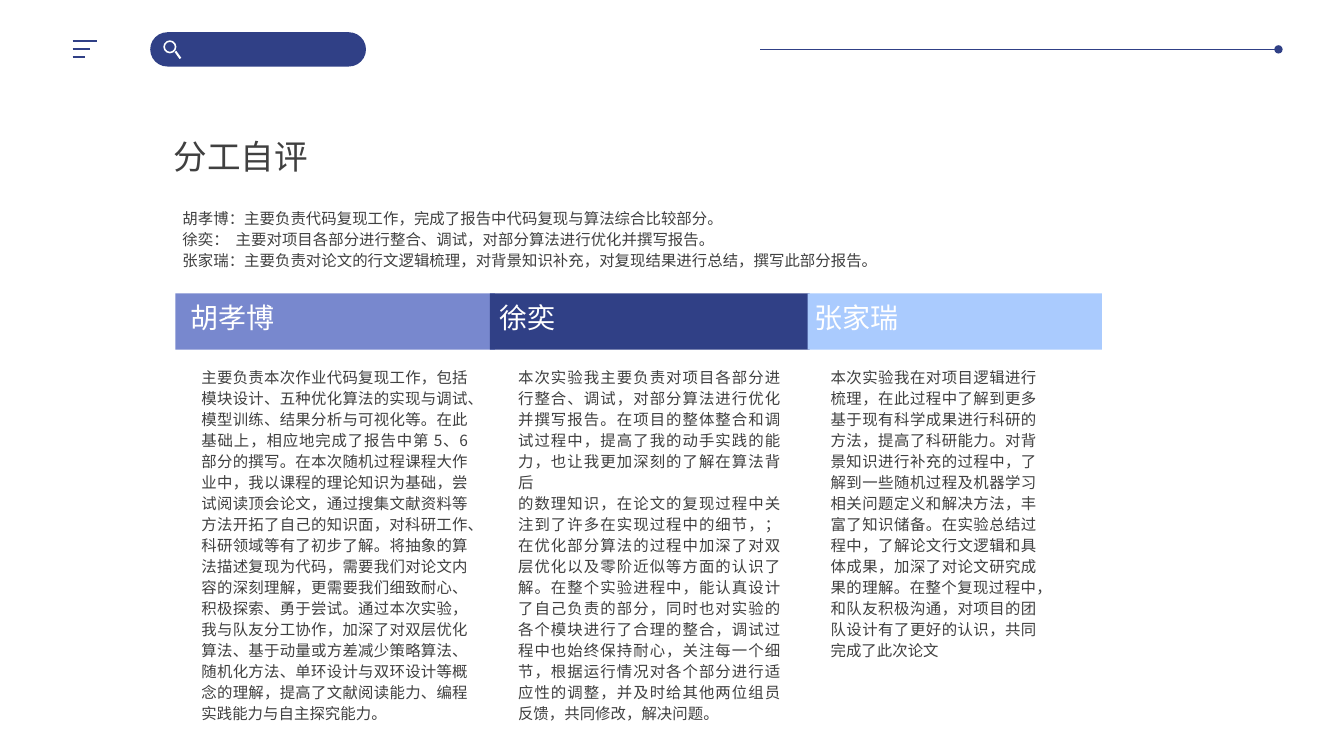
"""Build the slide on division of work and self-assessment."""
import lxml.etree
import pptx
import pptx.dml.color
import pptx.enum.dml
import pptx.enum.shapes
import pptx.enum.text
import pptx.oxml.ns
import pptx.util

Inches, Pt, qn = pptx.util.Inches, pptx.util.Pt, pptx.oxml.ns.qn
ALIGN = pptx.enum.text.PP_ALIGN
SHAPE = pptx.enum.shapes.MSO_SHAPE
FONT, NAVY, GREY, WHITE = "Noto Sans CJK SC", "304086", "404040", "FFFFFF"


def paint(color_format, hex_color):
    color_format.rgb = pptx.dml.color.RGBColor.from_string(hex_color)


def write(holder, box, lines, size, color, justified=False):
    holder.left, holder.top, holder.width, holder.height = map(Inches, box)
    frame = holder.text_frame
    frame.text = "\n".join(lines)
    frame.word_wrap = True
    frame.auto_size = pptx.enum.text.MSO_AUTO_SIZE.NONE
    frame.vertical_anchor = pptx.enum.text.MSO_ANCHOR.TOP
    for paragraph in frame.paragraphs:
        properties = paragraph._p.get_or_add_pPr()
        properties.set("marL", "0")
        properties.set("indent", "0")
        lxml.etree.SubElement(properties, qn("a:buNone"))
        paragraph.alignment = ALIGN.JUSTIFY if justified else ALIGN.LEFT
        paragraph.space_before = Pt(0)
        if justified:
            paragraph.line_spacing = Pt(15)
        paragraph.font.size = Pt(size)
        paragraph.font.name = FONT
        paint(paragraph.font.fill.solid() or paragraph.font.color, color)
        east_asian = lxml.etree.SubElement(properties.find(qn("a:defRPr")), qn("a:ea"))
        east_asian.set("typeface", FONT)


deck = pptx.Presentation()
deck.slide_width, deck.slide_height = Inches(13.33), Inches(7.5)
slide = deck.slides.add_slide(deck.slide_layouts[1])
shapes = slide.shapes
title, summary = slide.placeholders

write(title, (1.62, 1.3, 3.17, 0.5), ["分工自评"], 24, GREY)
write(summary, (1.71, 2, 9.22, 0.73), [
    "胡孝博：主要负责代码复现工作，完成了报告中代码复现与算法综合比较部分。",
    "徐奕：  主要对项目各部分进行整合、调试，对部分算法进行优化并撰写报告。",
    "张家瑞：主要负责对论文的行文逻辑梳理，对背景知识补充，对复现结果进行总结，撰写此部分报告。",
], 11, GREY, justified=True)

blocks = [
    (SHAPE.ROUNDED_RECTANGLE, (1.49, 0.32, 2.14, 0.34), NAVY, 0.5),
    (SHAPE.DONUT, (1.62, 0.4, 0.13, 0.13), WHITE, 0.125),
    (SHAPE.RECTANGLE, (1.74, 2.91, 3.17, 0.56), "7888CE", None),
    (SHAPE.RECTANGLE, (4.86, 2.91, 3.17, 0.56), NAVY, None),
    (SHAPE.RECTANGLE, (8.01, 2.91, 2.92, 0.56), "AACBFE", None),
]
for kind, box, color, adjustment in blocks:
    block = shapes.add_shape(kind, *map(Inches, box))
    block.shadow.inherit = False
    block.fill.solid()
    paint(block.fill.fore_color, color)
    block.line.fill.background()
    if adjustment:
        block.adjustments[0] = adjustment

strokes = [
    (1.74, 0.51, 1.79, 0.58, WHITE, 1.5),
    (0.72, 0.41, 0.96, 0.41, NAVY, 1.5),
    (0.72, 0.49, 0.89, 0.49, NAVY, 1.5),
    (0.72, 0.57, 0.84, 0.57, NAVY, 1.5),
    (7.54, 0.49, 12.68, 0.49, NAVY, 0.5),
]
for *ends, color, weight in strokes:
    stroke = shapes.add_connector(pptx.enum.shapes.MSO_CONNECTOR.STRAIGHT, *map(Inches, ends))
    paint(stroke.line.color, color)
    stroke.line.width = Pt(weight)
    lxml.etree.SubElement(stroke._element.spPr, qn("a:effectLst"))
header_rule = stroke
lxml.etree.SubElement(header_rule.line._get_or_add_ln(), qn("a:tailEnd")).set("type", "oval")

members = [
    ("胡孝博", (1.79, 1.43), (1.9, 2.84, 3.68), [
        "主要负责本次作业代码复现工作，包括模块设计、五种优化算法的实现与调试、模型训练、结果分析与可视化等。"
        "在此基础上，相应地完成了报告中第 5、6 部分的撰写。在本次随机过程课程大作业中，我以课程的理论知识为基础，"
        "尝试阅读顶会论文，通过搜集文献资料等方法开拓了自己的知识面，对科研工作、科研领域等有了初步了解。"
        "将抽象的算法描述复现为代码，需要我们对论文内容的深刻理解，更需要我们细致耐心、积极探索、勇于尝试。"
        "通过本次实验，我与队友分工协作，加深了对双层优化算法、基于动量或方差减少策略算法、随机化方法、"
        "单环设计与双环设计等概念的理解，提高了文献阅读能力、编程实践能力与自主探究能力。",
    ]),
    ("徐奕", (4.86, 0.91), (5.04, 2.8, 3.47), [
        "本次实验我主要负责对项目各部分进行整合、调试，对部分算法进行优化并撰写报告。"
        "在项目的整体整合和调试过程中，提高了我的动手实践的能力，也让我更加深刻的了解在算法背后",
        "的数理知识，在论文的复现过程中关注到了许多在实现过程中的细节，；"
        "在优化部分算法的过程中加深了对双层优化以及零阶近似等方面的认识了解。"
        "在整个实验进程中，能认真设计了自己负责的部分，同时也对实验的各个模块进行了合理的整合，"
        "调试过程中也始终保持耐心，关注每一个细节，根据运行情况对各个部分进行适应性的调整，"
        "并及时给其他两位组员反馈，共同修改，解决问题。",
    ]),
    ("张家瑞", (7.98, 1.6), (8.14, 2.24, 3.05), [
        "本次实验我在对项目逻辑进行梳理，在此过程中了解到更多基于现有科学成果进行科研的方法，提高了科研能力。"
        "对背景知识进行补充的过程中，了解到一些随机过程及机器学习相关问题定义和解决方法，丰富了知识储备。"
        "在实验总结过程中，了解论文行文逻辑和具体成果，加深了对论文研究成果的理解。"
        "在整个复现过程中，和队友积极沟通，对项目的团队设计有了更好的认识，共同完成了此次论文",
    ]),
]
for name, (name_left, name_width), (left, width, height), review in members:
    write(shapes.add_textbox(0, 0, 0, 0), (name_left, 2.93, name_width, 0.44), [name], 20, WHITE)
    write(shapes.add_textbox(0, 0, 0, 0), (left, 3.58, width, height), review, 11, GREY, justified=True)

deck.save("out.pptx")
